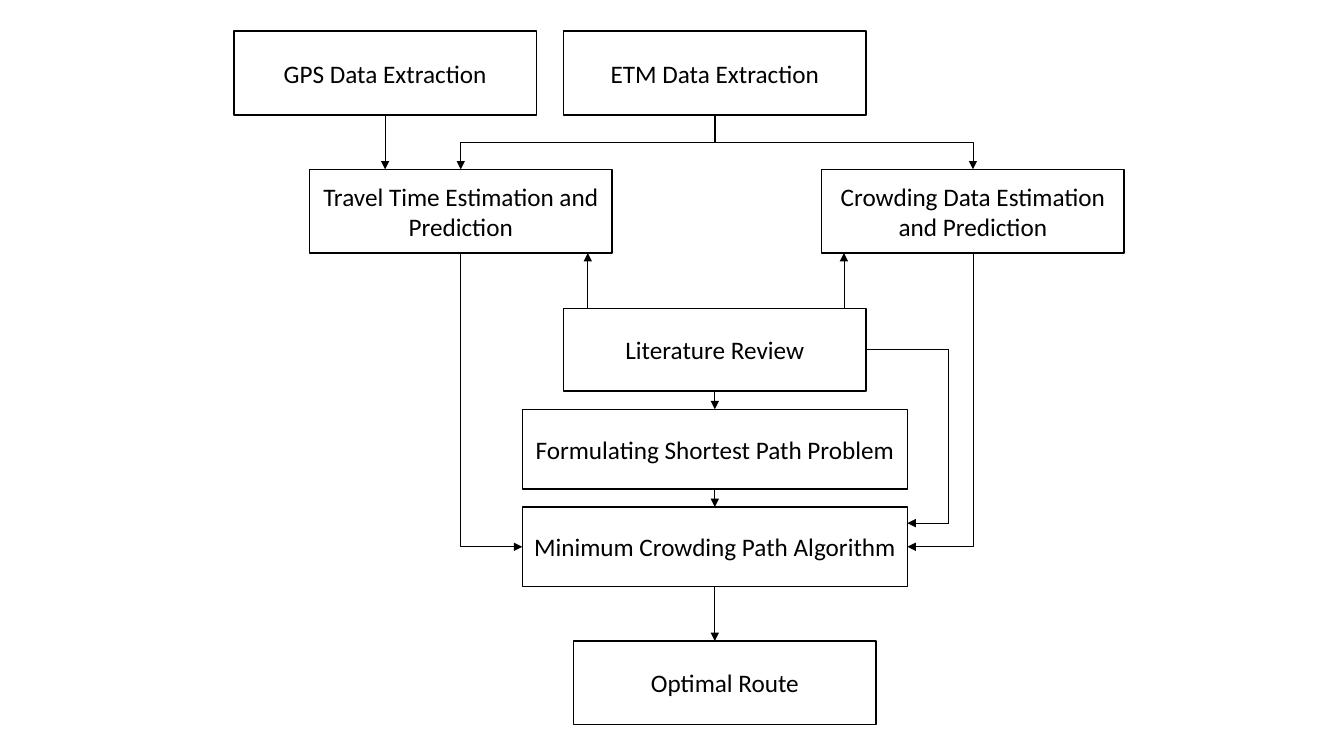
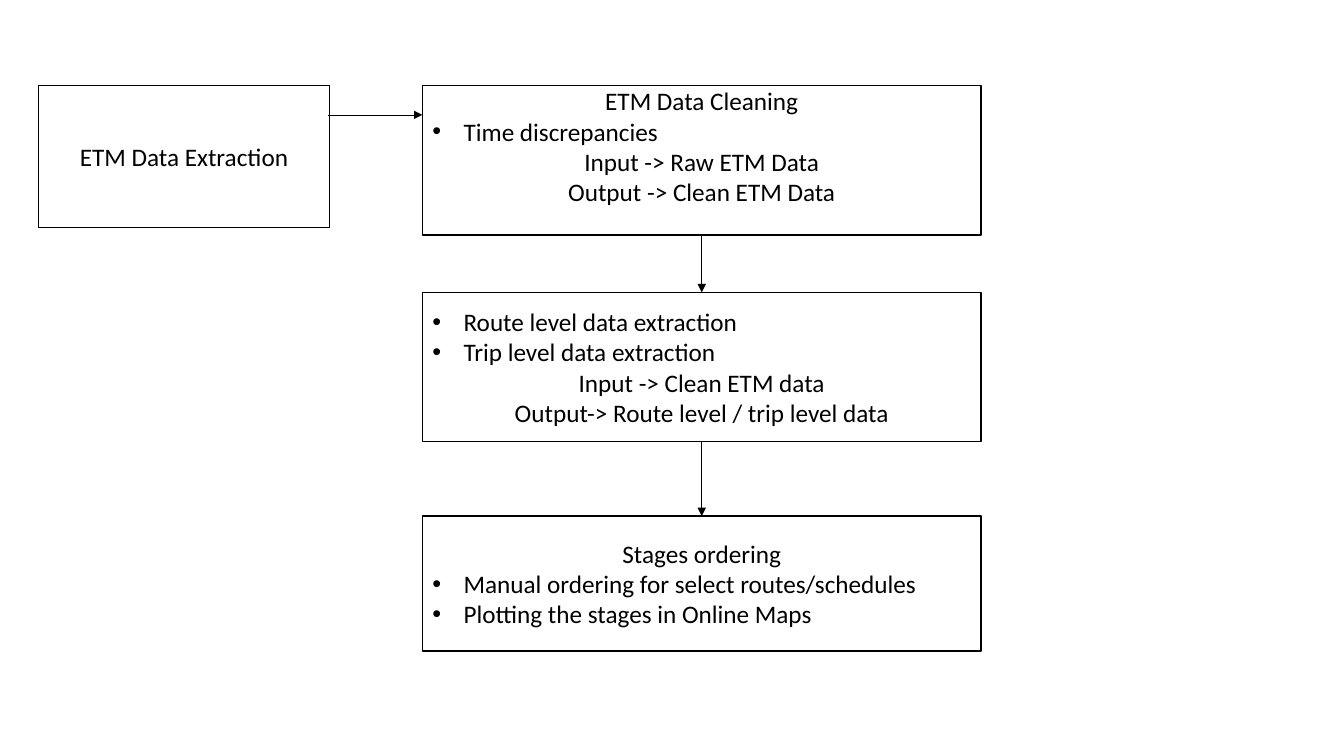
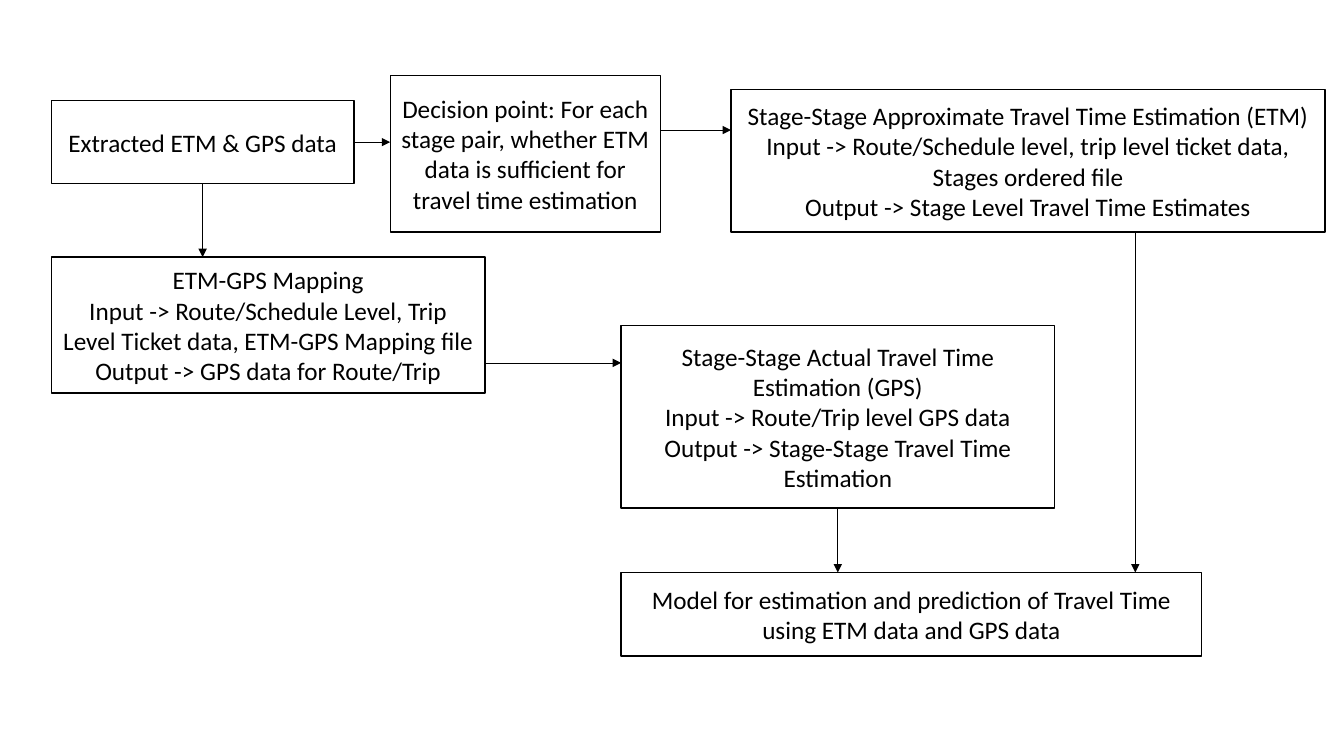
from pptx import Presentation
from pptx.dml.color import RGBColor
from pptx.enum.shapes import MSO_CONNECTOR, MSO_SHAPE
from pptx.enum.text import MSO_ANCHOR, PP_ALIGN
from pptx.oxml.ns import qn
from pptx.oxml.xmlchemy import OxmlElement
from pptx.util import Pt

PX = 9144
BLACK = RGBColor(0x00, 0x00, 0x00)
WHITE = RGBColor(0xFF, 0xFF, 0xFF)
FONT = "Calibri"
SIZE = Pt(18)
INDENT = 31 * PX
BULLET = "• "
PROCESS = MSO_SHAPE.FLOWCHART_PROCESS
STRAIGHT, ELBOW = MSO_CONNECTOR.STRAIGHT, MSO_CONNECTOR.ELBOW
MID, TOP = MSO_ANCHOR.MIDDLE, MSO_ANCHOR.TOP
LEFT, CENTER = PP_ALIGN.LEFT, PP_ALIGN.CENTER
PLAIN, ARROW = "plain", "arrow"
BENT2, BENT3 = "bentConnector2", "bentConnector3"


def add_box(page, x, y, w, h, anchor, lines):
    box = page.shapes.add_shape(PROCESS, x * PX, y * PX, w * PX, h * PX)
    box.shadow.inherit = False
    box.fill.solid()
    box.fill.fore_color.rgb = WHITE
    box.line.color.rgb = BLACK
    box.line.width = Pt(1)
    frame = box.text_frame
    frame.word_wrap = True
    frame.vertical_anchor = anchor
    if anchor == TOP:
        frame.margin_top = 0
    for i, line in enumerate(lines):
        para = frame.add_paragraph() if i else frame.paragraphs[0]
        para.alignment = CENTER
        if line.startswith(BULLET):
            para.alignment = LEFT
            props = para._p.get_or_add_pPr()
            props.set("marL", str(INDENT))
            props.set("indent", str(-INDENT))
            face = OxmlElement("a:buFont")
            face.set("typeface", "Arial")
            mark = OxmlElement("a:buChar")
            mark.set("char", BULLET.strip())
            props.extend([face, mark])
        run = para.add_run()
        run.text = line.removeprefix(BULLET)
        run.font.name = FONT
        run.font.size = SIZE
        run.font.color.rgb = BLACK
    return box


def add_link(page, boxes, start, end, kind):
    bent = kind in (BENT2, BENT3)
    spots = [(0, 0) if isinstance(p[0], str) else p for p in (start, end)]
    (x1, y1), (x2, y2) = spots
    link = page.shapes.add_connector(
        ELBOW if bent else STRAIGHT, x1 * PX, y1 * PX, x2 * PX, y2 * PX)
    if isinstance(start[0], str):
        link.begin_connect(boxes[start[0]], start[1])
    if isinstance(end[0], str):
        link.end_connect(boxes[end[0]], end[1])
    link.line.color.rgb = BLACK
    link.line.width = Pt(0.5)
    props = link._element.spPr
    if kind != PLAIN:
        tip = OxmlElement("a:tailEnd")
        tip.set("type", "triangle")
        props.find(qn("a:ln")).append(tip)
    props.append(OxmlElement("a:effectLst"))
    if bent:
        right = link.end_x > link.begin_x
        mid_x = (link.begin_x + link.end_x) // 2
        mid_y = (link.begin_y + link.end_y) // 2
        wide, high = link.height, link.width
        link.left, link.top = mid_x - wide // 2, mid_y - high // 2
        link.width, link.height = wide, high
        frame = props.find(qn("a:xfrm"))
        frame.set("rot", str((270 if right else 90) * 60000))
        frame.set("flipH", "1" if right else "0")
        frame.set("flipV", "0")
        props.find(qn("a:prstGeom")).set("prst", kind)


DECK = [
    ({
        "gps": (232, 31, 300, 83, MID, ["GPS Data Extraction"]),
        "etm": (559, 31, 300, 83, MID, ["ETM Data Extraction"]),
        "time": (307, 168, 300, 83, MID,
                 ["Travel Time Estimation and Prediction"]),
        "crowd": (815, 168, 300, 83, MID,
                  ["Crowding Data Estimation and Prediction"]),
        "review": (559, 306, 300, 82, MID, ["Literature Review"]),
        "problem": (518, 406, 382, 79, MID,
                    ["Formulating Shortest Path Problem"]),
        "method": (518, 503, 382, 79, MID,
                   ["Minimum Crowding Path Algorithm"]),
        "route": (569, 636, 300, 83, MID, ["Optimal Route"]),
    }, [
        (("etm", 2), ("time", 0), BENT3),
        (("etm", 2), ("crowd", 0), BENT3),
        (("time", 2), ("method", 1), BENT2),
        (("crowd", 2), ("method", 3), BENT2),
        (("gps", 2), (382, 168), ARROW),
        ((583, 306), (583, 251), ARROW),
        ((837, 306), (837, 251), ARROW),
        (("review", 2), ("problem", 0), ARROW),
        (("problem", 2), ("method", 0), ARROW),
        (("method", 2), (709, 636), ARROW),
        (("review", 3), (941, 347), PLAIN),
        ((941, 347), (941, 519), PLAIN),
        ((941, 519), (900, 519), ARROW),
    ]),
    ({
        "etm": (38, 85, 289, 141, MID, ["ETM Data Extraction"]),
        "clean": (419, 85, 554, 148, TOP, [
            "ETM Data Cleaning",
            "• Time discrepancies",
            "Input -> Raw ETM Data",
            "Output -> Clean ETM Data"]),
        "level": (419, 290, 554, 148, MID, [
            "• Route level data extraction",
            "• Trip level data extraction",
            "Input -> Clean ETM data",
            "Output-> Route level / trip level data"]),
        "stage": (419, 512, 554, 134, MID, [
            "Stages ordering",
            "• Manual ordering for select routes/schedules",
            "• Plotting the stages in Online Maps"]),
    }, [
        ((325, 114), (419, 114), ARROW),
        (("clean", 2), ("level", 0), ARROW),
        (("level", 2), ("stage", 0), ARROW),
    ]),
    ({
        "data": (51, 100, 300, 82, MID, ["Extracted ETM & GPS data"]),
        "choice": (387, 75, 268, 155, MID, [
            "Decision point: For each stage pair, whether ETM data "
            "is sufficient for travel time estimation"]),
        "approx": (725, 89, 589, 141, MID, [
            "Stage-Stage Approximate Travel Time Estimation (ETM)",
            "Input -> Route/Schedule level, trip level ticket data, "
            "Stages ordered file",
            "Output -> Stage Level Travel Time Estimates"]),
        "map": (51, 255, 430, 135, MID, [
            "ETM-GPS Mapping",
            "Input -> Route/Schedule Level, Trip Level Ticket data, "
            "ETM-GPS Mapping file",
            "Output -> GPS data for Route/Trip"]),
        "actual": (616, 323, 430, 181, MID, [
            "Stage-Stage Actual Travel Time Estimation (GPS)",
            "Input -> Route/Trip level GPS data",
            "Output -> Stage-Stage Travel Time Estimation"]),
        "model": (616, 568, 576, 83, MID, [
            "Model for estimation and prediction of Travel Time "
            "using ETM data and GPS data"]),
    }, [
        (("data", 2), (201, 255), ARROW),
        (("data", 3), (387, 141), ARROW),
        ((655, 129), (725, 129), ARROW),
        ((481, 360), (616, 360), ARROW),
        (("actual", 2), (831, 568), ARROW),
        ((1126, 230), (1126, 568), ARROW),
    ]),
]

deck = Presentation()
deck.slide_width = 1333 * PX
deck.slide_height = 750 * PX
for parts, links in DECK:
    page = deck.slides.add_slide(deck.slide_layouts[6])
    boxes = {name: add_box(page, *part) for name, part in parts.items()}
    for start, end, kind in links:
        add_link(page, boxes, start, end, kind)
deck.save("out.pptx")
